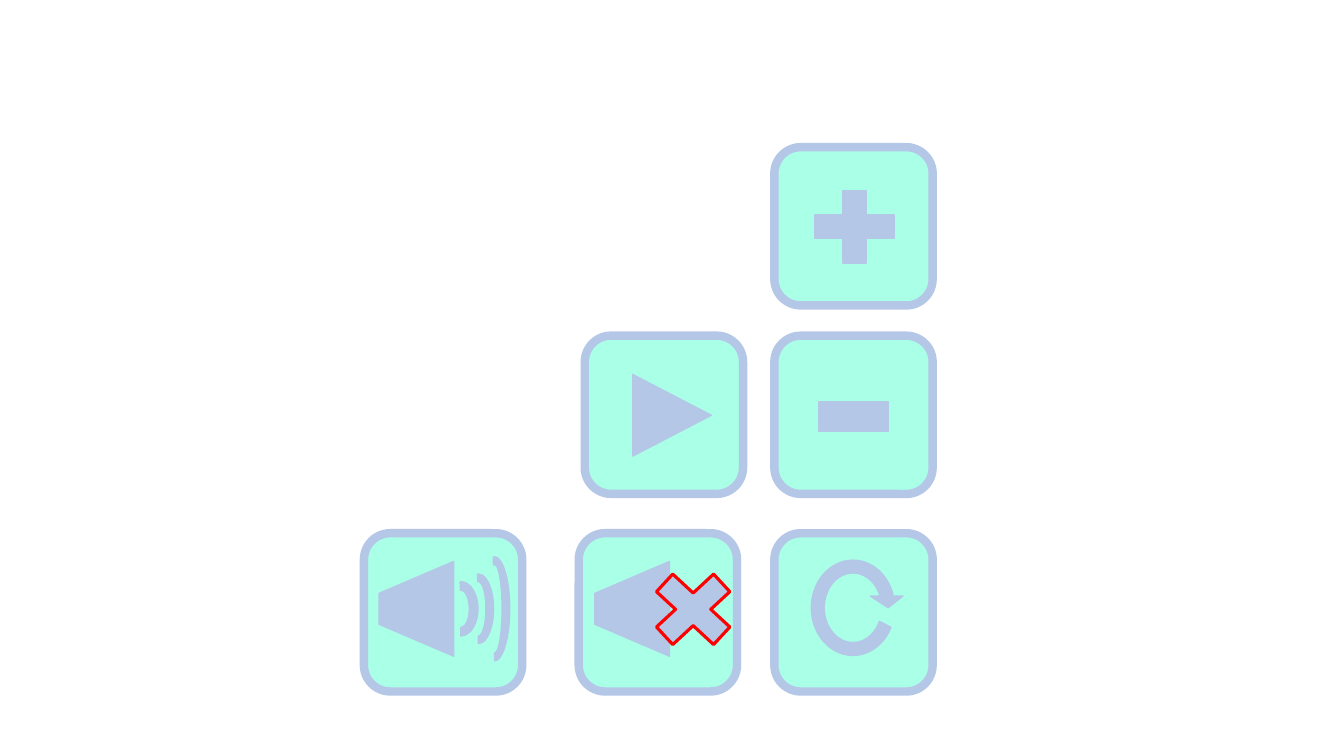
from pptx import Presentation
from pptx.dml.color import RGBColor
from pptx.enum.shapes import MSO_SHAPE
from pptx.util import Inches, Pt

MINT = RGBColor(0xAA, 0xFF, 0xE7)
PERIWINKLE = RGBColor(0xB4, 0xC7, 0xE7)
RED = RGBColor(0xFF, 0x00, 0x00)

BUTTON_SIZE = 1.57
TOP_ROW, MIDDLE_ROW, BOTTOM_ROW = 1.46, 3.33, 5.29
RIGHT_COLUMN = 7.68
ARC_ADJUSTMENTS = (107.151, 0, 0.25)


def add_symbol(group, kind, box, rotation=0, adjustments=(),
               fill=PERIWINKLE, line=PERIWINKLE, line_width=1):
    shape = group.shapes.add_shape(kind, *map(Inches, box))
    shape.rotation = rotation
    for index, value in enumerate(adjustments):
        shape.adjustments[index] = value
    shape.shadow.inherit = False
    shape.fill.solid()
    shape.fill.fore_color.rgb = fill
    shape.line.color.rgb = line
    shape.line.width = Pt(line_width)
    return shape


def add_button(slide, left, top, rotation=0):
    group = slide.shapes.add_group_shape()
    add_symbol(group, MSO_SHAPE.ROUNDED_RECTANGLE,
               (left, top, BUTTON_SIZE, BUTTON_SIZE), rotation,
               fill=MINT, line_width=6)
    return group


def add_speaker_button(slide, left, speaker_left):
    group = add_button(slide, left, BOTTOM_ROW)
    add_symbol(group, MSO_SHAPE.TRAPEZOID, (speaker_left, 5.67, 0.94, 0.74),
               270, (0.428,))
    return group


def main():
    presentation = Presentation()
    presentation.slide_width = Inches(13.33)
    presentation.slide_height = Inches(7.5)
    slide = presentation.slides.add_slide(presentation.slide_layouts[6])

    play = add_button(slide, 5.8, MIDDLE_ROW)
    add_symbol(play, MSO_SHAPE.ISOSCELES_TRIANGLE, (6.26, 3.73, 0.81, 0.78), 90)

    sound_on = add_speaker_button(slide, 3.61, 3.66)
    for wave_box in ((4.3, 5.87, 0.54, 0.34),
                     (4.4, 5.89, 0.69, 0.3),
                     (4.39, 5.89, 1.03, 0.3)):
        add_symbol(sound_on, MSO_SHAPE.BLOCK_ARC, wave_box, 90, ARC_ADJUSTMENTS)

    sound_off = add_speaker_button(slide, 5.74, 5.8)
    add_symbol(sound_off, MSO_SHAPE.MATH_MULTIPLY, (6.33, 5.54, 1.09, 1.01),
               line=RED, line_width=2.25)

    for top, kind, box, adjustments in (
        (TOP_ROW, MSO_SHAPE.MATH_PLUS, (7.94, 1.76, 1.07, 0.98), ()),
        (MIDDLE_ROW, MSO_SHAPE.MATH_MINUS, (8, 3.51, 0.94, 1.25), ()),
        (BOTTOM_ROW, MSO_SHAPE.CIRCULAR_ARROW, (7.95, 5.46, 1.02, 1.14),
         (0.125, 11.423, 204.577, 16.341, 0.158)),
    ):
        button = add_button(slide, RIGHT_COLUMN, top, 180)
        add_symbol(button, kind, box, adjustments=adjustments)

    presentation.save("out.pptx")


main()
